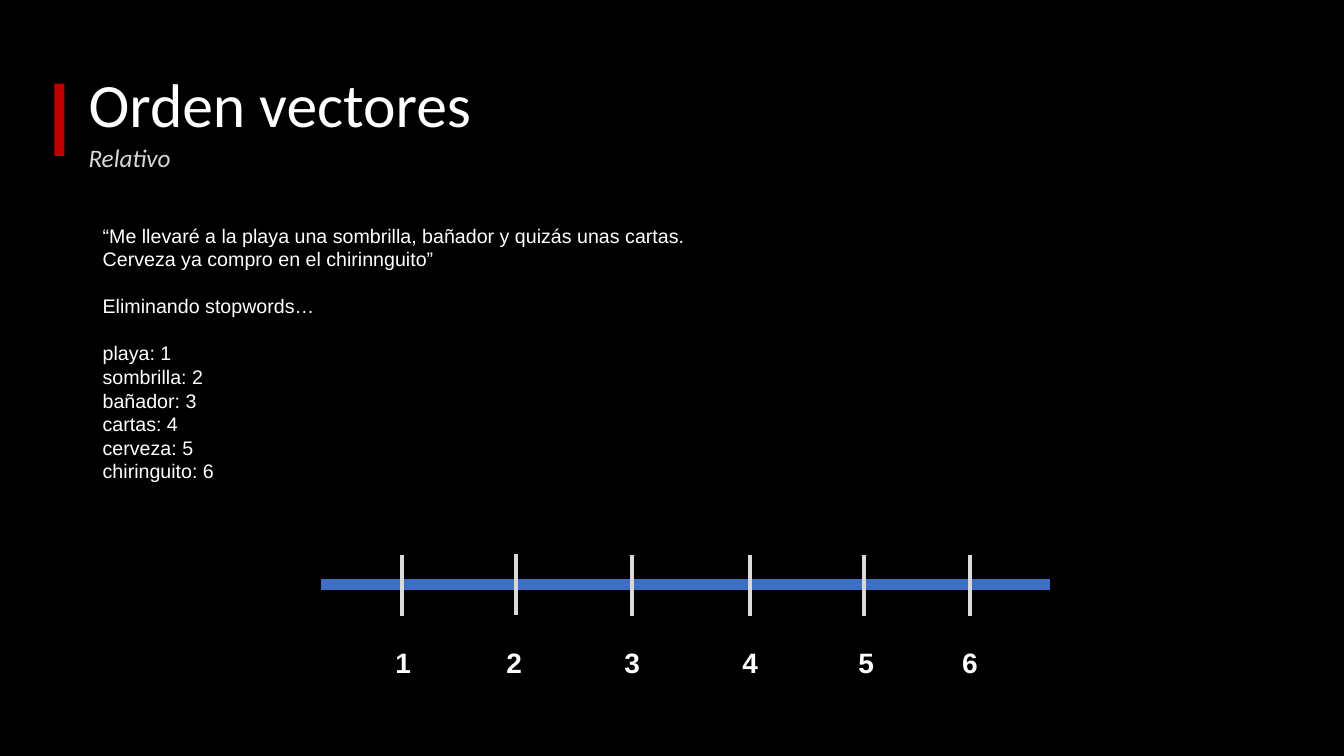
from lxml import etree
from pptx import Presentation
from pptx.dml.color import RGBColor
from pptx.enum import shapes, text
from pptx.oxml.ns import qn
from pptx.util import Inches, Pt

COLORS = {"background": "000000", "text": "FFFFFF", "subtitle": "D8D8D8",
          "accent": "C00000", "axis": "3F6FC3", "tick": "D9D9D9"}

QUOTE = ("“Me llevaré a la playa una sombrilla, bañador y quizás unas cartas. "
         "Cerveza ya compro en el chirinnguito”")
WORDS = ["playa", "sombrilla", "bañador", "cartas", "cerveza", "chiringuito"]

# Tick x, tick top and label left for each word position
MARKS = [(3.99, 5.51, 3.46), (5.12, 5.5, 4.56), (6.27, 5.51, 5.73),
         (7.44, 5.51, 6.9), (8.57, 5.51, 8.05), (9.62, 5.51, 9.08)]


def rgb(name):
    return RGBColor.from_string(COLORS[name])


def add_text(slide, box, paragraphs, size, color="text", font="Arial",
             anchor=text.MSO_ANCHOR.TOP, para=None, **style):
    """Add a text box; paragraphs holds (text, space before in points)."""
    tf = slide.shapes.add_textbox(*map(Inches, box)).text_frame
    tf.word_wrap = True
    tf.vertical_anchor = anchor
    for i, (line, gap) in enumerate(paragraphs):
        p = tf.paragraphs[0] if i == 0 else tf.add_paragraph()
        for key, value in {"space_before": Pt(gap), **(para or {})}.items():
            setattr(p, key, value)
        r = p.add_run()
        r.text = line
        for key, value in {"name": font, "size": Pt(size), **style}.items():
            setattr(r.font, key, value)
        r.font.color.rgb = rgb(color)


def add_bar(slide, box, color):
    sp = slide.shapes.add_shape(shapes.MSO_SHAPE.RECTANGLE, *map(Inches, box))
    sp.shadow.inherit = False
    sp.fill.solid()
    sp.fill.fore_color.rgb = rgb(color)
    sp.line.fill.background()


def add_line(slide, ends, color, width):
    line = slide.shapes.add_connector(shapes.MSO_CONNECTOR.STRAIGHT,
                                      *map(Inches, ends))
    line.line.color.rgb = rgb(color)
    line.line.width = Pt(width)
    etree.SubElement(line._element.spPr, qn("a:effectLst"))


def main():
    prs = Presentation()
    prs.slide_width, prs.slide_height = Inches(13.33), Inches(7.5)
    s = prs.slides.add_slide(prs.slide_layouts[6])
    s.background.fill.solid()
    s.background.fill.fore_color.rgb = rgb("background")

    # Heading
    tight = {"line_spacing": 0.9}
    add_text(s, (0.78, 0.34, 11.5, 1.45), [("Orden vectores", 0)], 44,
             font="Calibri", anchor=text.MSO_ANCHOR.MIDDLE, para=tight)
    add_text(s, (0.78, 1.4, 6, 0.52), [("Relativo", 0)], 18, "subtitle",
             "Calibri", para=tight, italic=True)
    add_bar(s, (0.54, 0.83, 0.1, 0.72), "accent")

    # Sentence and word order
    gap = 16.8
    lines = [(QUOTE, 0), ("Eliminando stopwords…", gap)]
    lines += [(f"{word}: {n}", gap if n == 1 else 0)
              for n, word in enumerate(WORDS, 1)]
    add_text(s, (0.92, 2.17, 6.14, 2.69), lines, 14)

    # Number line
    add_line(s, (3.18, 5.8, 10.41, 5.8), "axis", 7.75)
    for n, (x, top, label_left) in enumerate(MARKS, 1):
        add_line(s, (x, top, x, top + 0.6), "tick", 2.75)
        add_text(s, (label_left, 6.35, 1.08, 0.44), [(str(n), 0)], 20,
                 para={"alignment": text.PP_ALIGN.CENTER}, bold=True)

    prs.save("out.pptx")


if __name__ == "__main__":
    main()
